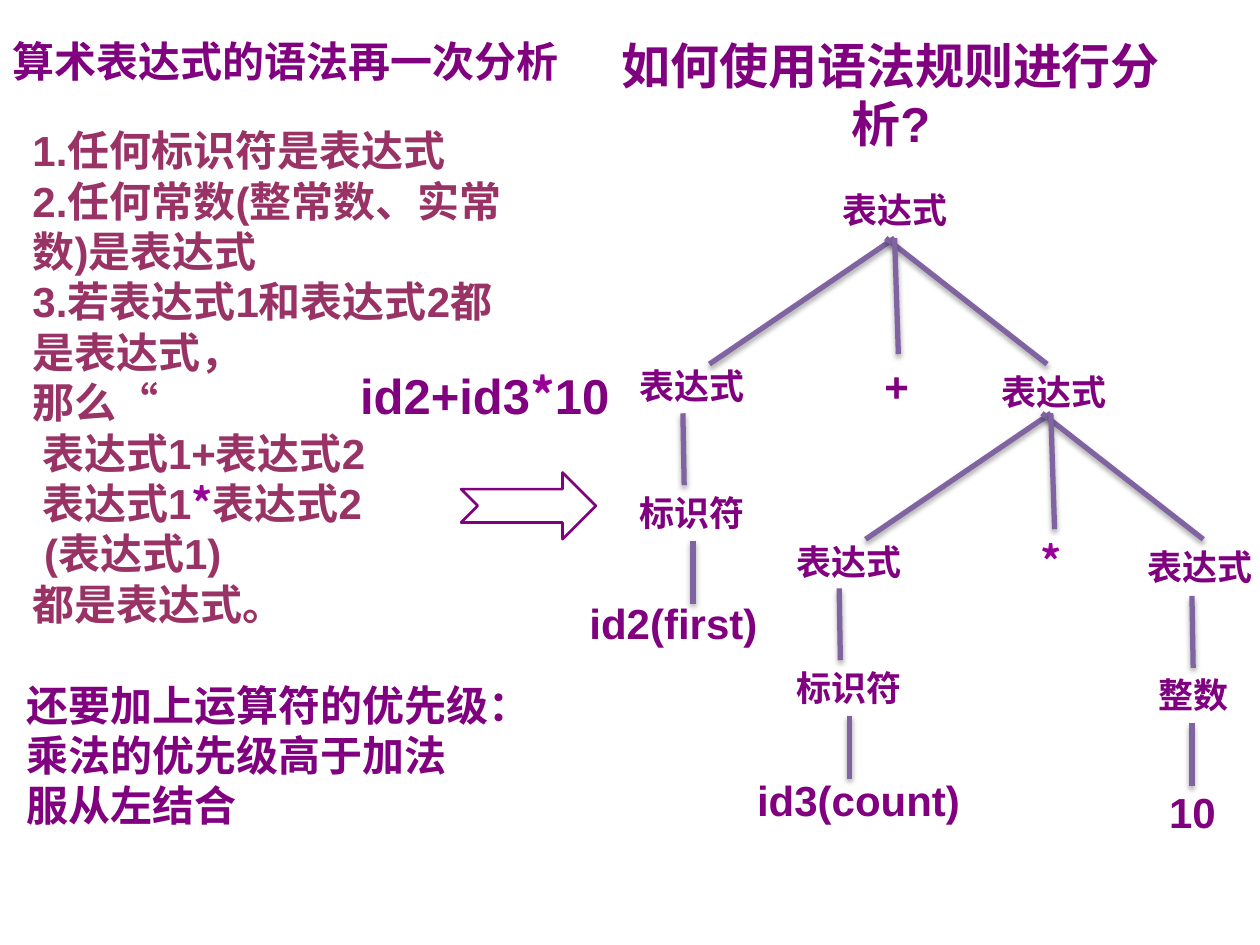
from lxml import etree
from pptx import Presentation
from pptx.dml.color import RGBColor
from pptx.enum.shapes import MSO_CONNECTOR, MSO_SHAPE
from pptx.enum.text import MSO_ANCHOR, MSO_AUTO_SIZE, PP_ALIGN
from pptx.oxml.ns import qn
from pptx.util import Inches, Pt

LATIN = "Arial"
CJK = "Noto Sans CJK SC"
COLORS = {"purple": "800080", "star": "990099", "rule": "993366",
          "branch": "8064A2", "shadow": "000000"}
STRAIGHT = MSO_CONNECTOR.STRAIGHT
ARROW = MSO_SHAPE.NOTCHED_RIGHT_ARROW
GROW = MSO_AUTO_SIZE.SHAPE_TO_FIT_TEXT
TOP = MSO_ANCHOR.TOP
CENTER = PP_ALIGN.CENTER

RULES = [
    ["1.任何标识符是表达式"],
    ["2.任何常数(整常数、实常数)是表达式"],
    ["3.若表达式1和表达式2都是表达式，"],
    ["那么“"],
    [" 表达式1+表达式2"],
    [" 表达式1", "*", "表达式2"],
    [" (表达式1)"],
    ["都是表达式。"],
]
PRIORITIES = [["还要加上运算符的优先级："], ["乘法的优先级高于加法"], ["服从左结合"]]


def color(name):
    return RGBColor.from_string(COLORS[name])


def add_span(para, text, size, tint):
    """Add one bold run; the multiplication sign has its own font and colour."""
    span = para.add_run()
    span.text = text
    font = span.font
    font.size, font.bold = Pt(size), True
    is_star = text == "*"
    font.name = CJK if is_star else LATIN
    font.color.rgb = color("star" if is_star else tint)
    east_asian = etree.SubElement(font._element, qn("a:ea"))
    east_asian.set("typeface", CJK)


def add_text(page, left, top, width, height, paras, size=24, tint="purple",
             wrap=True, align=None):
    box = page.shapes.add_textbox(Inches(left), Inches(top), Inches(width), Inches(height))
    frame = box.text_frame
    frame.word_wrap = wrap
    frame.auto_size = GROW
    frame.vertical_anchor = TOP
    for index, spans in enumerate(paras):
        para = frame.paragraphs[0] if index == 0 else frame.add_paragraph()
        para.alignment = align
        for text in spans:
            add_span(para, text, size, tint)
    return frame


def add_label(page, left, top, text, width=1.04, size=20):
    """Add a one-line tree node."""
    height = 0.44 if size == 20 else 0.5
    add_text(page, left, top, width, height, [[text]], size, wrap=False)


def add_branch(page, x1, y1, x2, y2):
    line = page.shapes.add_connector(
        STRAIGHT, Inches(x1), Inches(y1), Inches(x2), Inches(y2))
    line.line.color.rgb = color("branch")
    line.line.width = Pt(3)
    effects = etree.SubElement(line._element.spPr, qn("a:effectLst"))
    shadow = etree.SubElement(effects, qn("a:outerShdw"), blurRad=str(Pt(3.1)),
                              dist=str(Pt(1.8)), dir="5400000", rotWithShape="0")
    tone = etree.SubElement(shadow, qn("a:srgbClr"), val=COLORS["shadow"])
    etree.SubElement(tone, qn("a:alpha"), val="35000")


def add_fork(page, x, y):
    """Add the three branches from an expression to operand, operand, operator."""
    add_branch(page, x, y, x - 1.47, y + 1)
    add_branch(page, x - 0.07, y, x + 1.21, y + 1)
    add_branch(page, x, y, x + 0.03, y + 0.92)


def add_chain(page, x, y, stem_shift=0.08):
    """Add the two stems from an operand through its kind to its value."""
    add_branch(page, x, y, x + 0.01, y + 0.57)
    add_branch(page, x + stem_shift, y + 1.01, x + stem_shift, y + 1.51)


def add_tree(page):
    add_fork(page, 7.1, 1.89)
    add_fork(page, 8.34, 3.28)
    add_chain(page, 5.42, 3.28)
    add_chain(page, 6.66, 4.67)
    add_chain(page, 9.46, 4.73, stem_shift=0)
    for left, top in [(6.59, 1.45), (4.98, 2.84), (7.85, 2.89), (6.22, 4.24), (9.01, 4.28)]:
        add_label(page, left, top, "表达式")
    for left, top in [(4.98, 3.85), (6.22, 5.24)]:
        add_label(page, left, top, "标识符")
    add_label(page, 9.1, 5.3, "整数", width=0.76)
    for left, top, width, text in [
        (6.92, 2.81, 0.39, "+"), (8.16, 4.2, 0.37, "*"),
        (4.58, 4.69, 1.53, "id2(first)"), (5.91, 6.1, 1.81, "id3(count)"),
        (9.18, 6.19, 0.57, "10"),
    ]:
        add_label(page, left, top, text, width, size=24)


def add_arrow(page):
    arrow = page.shapes.add_shape(
        ARROW, Inches(3.66), Inches(3.75), Inches(1.07), Inches(0.53))
    arrow.shadow.inherit = False
    arrow.fill.background()
    arrow.line.color.rgb = color("purple")
    arrow.line.width = Pt(1.5)


def main():
    deck = Presentation()
    deck.slide_width, deck.slide_height = Inches(10), Inches(7.5)
    page = deck.slides.add_slide(deck.slide_layouts[6])

    formula = add_text(page, 2.76, 2.45, 3.16, 0.98, [["id2+id3", "*", "10"]], size=28)
    formula.margin_top = Inches(0.45)
    add_text(page, 0, 0.23, 4.77, 0.5, [["算术表达式的语法再一次分析"]])
    add_tree(page)
    add_arrow(page)
    add_text(page, 0.16, 0.94, 4.1, 4.14, RULES, tint="rule")
    question = add_text(page, 4.82, 0.23, 5.18, 0.57, [["如何使用语法规则进行分析?"]],
                        size=28, align=CENTER)
    question.margin_right = Inches(0.78)
    add_text(page, 0.11, 5.34, 4.26, 1.31, PRIORITIES)
    deck.save("out.pptx")


if __name__ == "__main__":
    main()
